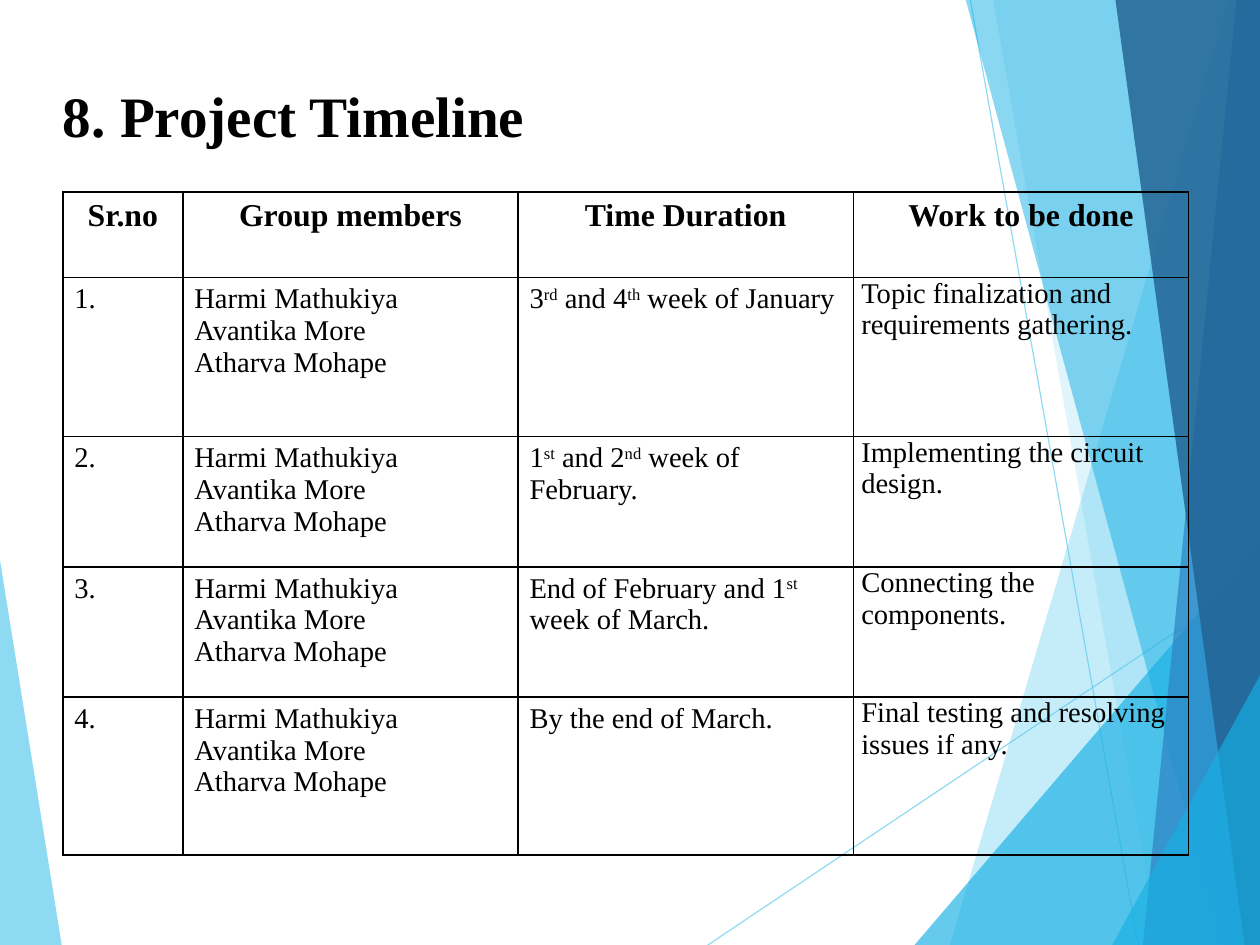
from lxml import etree
from pptx import Presentation, util as u
from pptx.dml import color
from pptx.enum import shapes, text
from pptx.oxml import ns

RIGHT, BOTTOM = 11.03, 8.27
BLACK, SKY, CYAN, BLUE, NAVY = "000000", "5FCBEF", "17B0E4", "2E83C3", "226292"


def rgb(value):
    return color.RGBColor.from_string(value)


def add_node(parent, tag, **attributes):
    node = etree.SubElement(parent, ns.qn(tag))
    for name, value in attributes.items():
        node.set(name, str(value))
    return node


def set_alpha(shape, percent):
    """Make the first solid colour of the shape translucent."""
    solid = next(shape._element.spPr.iter(ns.qn("a:srgbClr")))
    add_node(solid, "a:alpha", val=percent * 1000)


def write(frame, content, size=18, bold=False, align=None, spacing=None):
    """Write one paragraph per line; ^ marks both ends of a superscript."""
    frame.word_wrap = True
    for index, line in enumerate(content.split("\n")):
        para = frame.paragraphs[0] if index == 0 else frame.add_paragraph()
        para.alignment = align
        para.line_spacing = spacing
        for part, words in enumerate(line.split("^")):
            span = para.add_run()
            span.text = words
            span.font.name = "Times New Roman"
            span.font.size = u.Pt(size)
            span.font.bold = bold
            span.font.color.rgb = rgb(BLACK)
            if part % 2:
                span._r.get_or_add_rPr().set("baseline", "30000")


class SlideBuilder:
    def __init__(self, page):
        self.page = page

    def facet(self, points, fill, alpha):
        corners = [(u.Inches(x), u.Inches(y)) for x, y in points]
        builder = self.page.shapes.build_freeform(*corners[0], scale=1.0)
        builder.add_line_segments(corners[1:], close=True)
        shape = builder.convert_to_shape()
        shape.shadow.inherit = False
        shape.fill.solid()
        shape.fill.fore_color.rgb = rgb(fill)
        shape.line.fill.background()
        set_alpha(shape, alpha)

    def ray(self, start, end):
        ends = [u.Inches(value) for value in (*start, *end)]
        line = self.page.shapes.add_connector(shapes.MSO_CONNECTOR.STRAIGHT, *ends)
        line.line.color.rgb = rgb(SKY)
        line.line.width = u.Pt(0.75)
        set_alpha(line, 70)
        add_node(line._element.spPr, "a:effectLst")

    def title(self, content, left, top, width, height):
        box = self.page.shapes.add_textbox(*map(u.Inches, (left, top, width, height)))
        frame = box.text_frame
        frame.margin_left = frame.margin_right = frame.margin_bottom = 0
        frame.margin_top = u.Inches(0.03)
        frame.vertical_anchor = text.MSO_ANCHOR.MIDDLE
        write(frame, content, size=36, bold=True, spacing=0.93)

    def cell(self, cell, content, **style):
        properties = cell._tc.get_or_add_tcPr()
        for side in ("a:lnL", "a:lnR", "a:lnT", "a:lnB"):
            border = add_node(properties, side, w=u.Pt(1))
            add_node(add_node(border, "a:solidFill"), "a:srgbClr", val=BLACK)
        cell.fill.background()
        write(cell.text_frame, content, **style)

    def table(self, rows, left, top, widths, heights):
        size = (left, top, sum(widths), sum(heights))
        frame = self.page.shapes.add_table(
            len(rows), len(widths), *map(u.Inches, size))
        table = frame.table
        table.first_row = table.horz_banding = False
        for column, width in zip(table.columns, widths):
            column.width = u.Inches(width)
        for r, (row, height) in enumerate(zip(rows, heights)):
            table.rows[r].height = u.Inches(height)
            for c, content in enumerate(row):
                cell = table.cell(r, c)
                if r == 0:
                    self.cell(cell, content, size=20, bold=True,
                              align=text.PP_ALIGN.CENTER)
                    continue
                self.cell(cell, content)
                if c == len(row) - 1:
                    cell.margin_left = cell.margin_right = u.Inches(0.07)
                    cell.margin_top = cell.margin_bottom = 0


def main():
    deck = Presentation()
    deck.slide_width, deck.slide_height = u.Emu(10080625), u.Emu(7559675)
    slide = SlideBuilder(deck.slides.add_slide(deck.slide_layouts[6]))

    # Backdrop: left wedge and thin rays
    slide.facet([(-0.01, 4.84), (0.54, BOTTOM), (-0.01, BOTTOM)], SKY, 70)
    slide.ray((6.19, BOTTOM), (RIGHT, 5.03))
    slide.ray((8.49, 0), (9.96, BOTTOM))

    # Backdrop: facets against the right edge (peak, foot)
    facets = [
        ((10.75, 0), 8.31, SKY, 36),
        ((8.69, 0), 10.14, SKY, 20),
        ((RIGHT, 4.73), 8, CYAN, 66),
        ((8.45, 0), 10.69, CYAN, 50),
        ((10.82, 0), 10, BLUE, 70),
        ((9.76, 0), 10.89, NAVY, 82),
        ((RIGHT, 5.9), 9.73, CYAN, 66),
    ]
    for peak, foot, fill, alpha in facets:
        corners = [peak, (foot, BOTTOM), (RIGHT, BOTTOM)]
        if peak[0] < RIGHT:
            corners.append((RIGHT, 0))
        slide.facet(corners, fill, alpha)

    # Title
    slide.title("8. Project Timeline", 0.55, 0.33, 9.92, 1.38)

    # Timeline table
    members = "Harmi Mathukiya\nAvantika More\nAtharva Mohape"
    stages = [
        ("3^rd^ and 4^th^ week of January",
         "Topic finalization and requirements gathering."),
        ("1^st^ and 2^nd^ week of February.", "Implementing the circuit design."),
        ("End of February and 1^st^ week of March.", "Connecting the components."),
        ("By the end of March.", "Final testing and resolving issues if any."),
    ]
    rows = [("Sr.no", "Group members", "Time Duration", "Work to be done")]
    rows += [(f"{number}.", members, period, work)
             for number, (period, work) in enumerate(stages, 1)]
    number_width, table_width = 1.05, 9.85
    wide = (table_width - number_width) / 3
    slide.table(rows, 0.55, 1.68, [number_width] + [wide] * 3,
                [0.75, 1.39, 1.14, 1.14, 1.38])

    deck.save("out.pptx")


if __name__ == "__main__":
    main()
